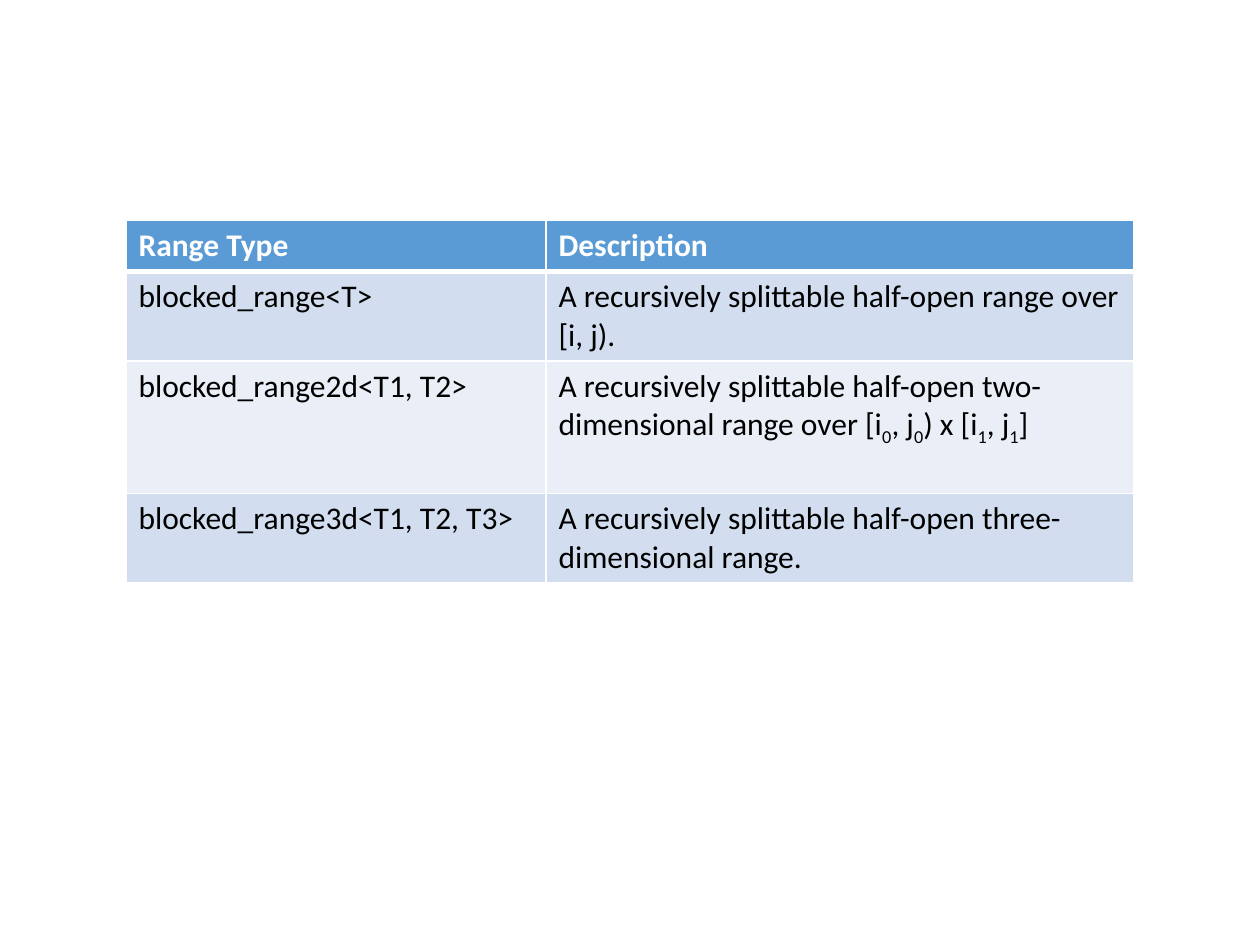
from dataclasses import dataclass

from lxml.etree import SubElement
from pptx import Presentation
from pptx.dml.color import RGBColor
from pptx.oxml.ns import qn
from pptx.util import Pt

# A cell is a list of runs; every second run is a subscript.
ROWS = [
    [["Range Type"], ["Description"]],
    [["blocked_range<T>"],
     ["A recursively splittable half-open range over [i, j)."]],
    [["blocked_range2d<T1, T2>"],
     ["A recursively splittable half-open two-dimensional range over [i",
      "0", ", j", "0", ") x [i", "1", ", j", "1", "]"]],
    [["blocked_range3d<T1, T2, T3>"],
     ["A recursively splittable half-open three-dimensional range."]],
]
WIDTHS = [240, 336]
HEIGHTS = [29.2, 51, 75.6, 50.8]
LEFT, TOP = 72, 126


@dataclass(frozen=True)
class Theme:
    font: str = "Calibri"
    size: int = 18
    head: str = "5B9BD5"
    bands: tuple = ("EAEFF7", "D2DEEF")
    light: str = "FFFFFF"
    dark: str = "000000"
    thin: int = 1
    thick: int = 3


THEME = Theme()


def add_borders(cell, row):
    """Draw all four sides, with the thick rule under the header."""
    props = cell._tc.get_or_add_tcPr()
    heavy = {(0, "B"), (1, "T")}
    for side in "LRTB":
        width = THEME.thick if (row, side) in heavy else THEME.thin
        line = SubElement(props, qn(f"a:ln{side}"), w=str(Pt(width)))
        fill = SubElement(line, qn("a:solidFill"))
        SubElement(fill, qn("a:srgbClr"), val=THEME.light)


def fill_cell(cell, parts, row):
    head = row == 0
    add_borders(cell, row)
    cell.fill.solid()
    shade = THEME.head if head else THEME.bands[row % 2]
    cell.fill.fore_color.rgb = RGBColor.from_string(shade)
    para = cell.text_frame.paragraphs[0]
    for i, text in enumerate(parts):
        run = para.add_run()
        run.text = text
        font = run.font
        font.name, font.size, font.bold = THEME.font, Pt(THEME.size), head
        ink = THEME.light if head else THEME.dark
        font.color.rgb = RGBColor.from_string(ink)
        if i % 2:
            run._r.get_or_add_rPr().set("baseline", "-25000")


def main():
    deck = Presentation()
    deck.slide_width, deck.slide_height = Pt(720), Pt(540)
    slide = deck.slides.add_slide(deck.slide_layouts[6])
    table = slide.shapes.add_table(
        len(ROWS), len(WIDTHS), Pt(LEFT), Pt(TOP),
        Pt(sum(WIDTHS)), Pt(sum(HEIGHTS))).table
    for col, width in zip(table.columns, WIDTHS):
        col.width = Pt(width)
    for r, (cells, height) in enumerate(zip(ROWS, HEIGHTS)):
        table.rows[r].height = Pt(height)
        for c, parts in enumerate(cells):
            fill_cell(table.cell(r, c), parts, r)
    deck.save("out.pptx")


if __name__ == "__main__":
    main()
